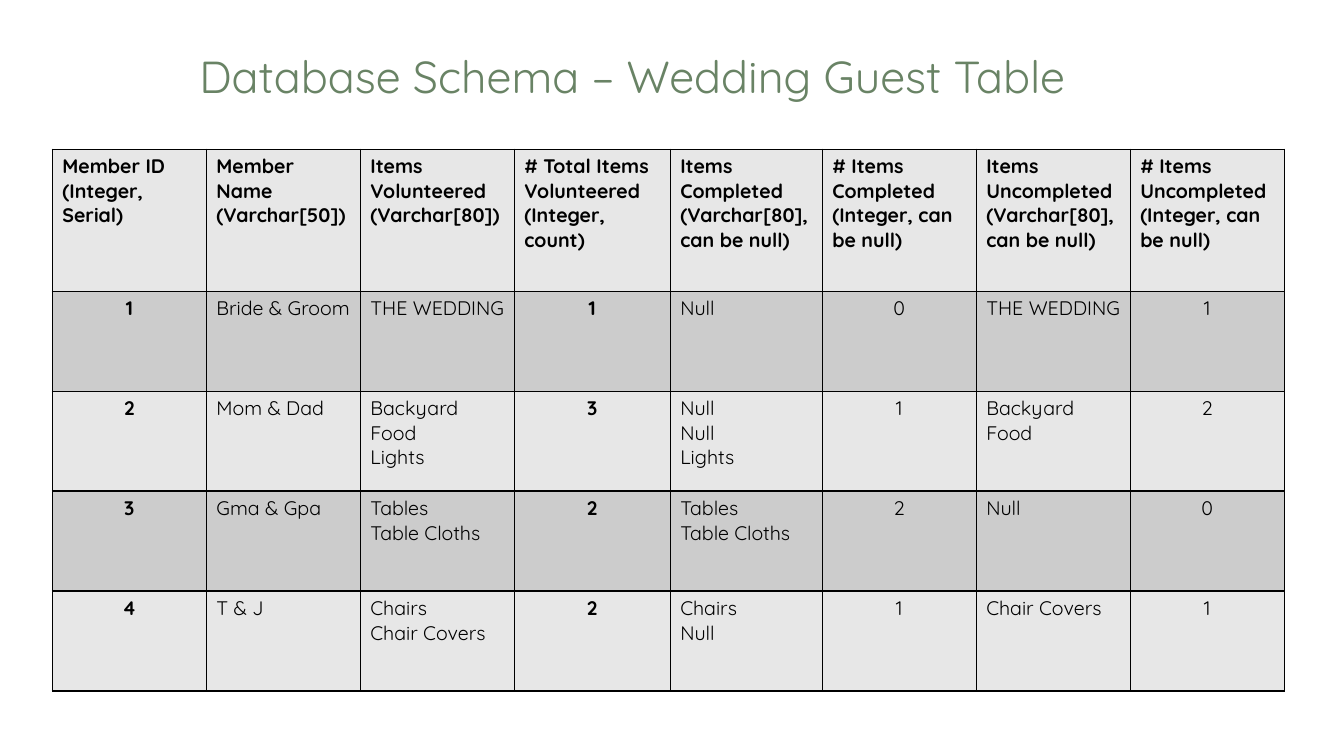
"""Build the wedding guest table schema slide."""
from pptx import Presentation
from pptx.dml.color import RGBColor as RGB
from pptx.enum.text import MSO_ANCHOR as ANCHOR, PP_ALIGN as ALIGN
from pptx.oxml.ns import qn
from pptx.util import Pt
from lxml.etree import SubElement as Sub

COLORS = {"title": "698365", "text": "000000", "border": "000000",
          "light": "E7E7E7", "dark": "CCCCCC"}
COL_WIDTHS = [110, 110, 110, 111.4, 108.6, 110, 110, 110]
ROW_HEIGHTS = [101.4] + [71.4] * 4
CENTERED = {0, 3, 5, 7}
BOLD = {0, 3}
HEADERS = [
    "Member ID\n(Integer, Serial)",
    "Member Name\n(Varchar[50])",
    "Items Volunteered\n(Varchar[80])",
    "# Total Items Volunteered\n(Integer, count)",
    "Items Completed\n(Varchar[80], can be null)",
    "# Items Completed\n(Integer, can be null)",
    "Items Uncompleted\n(Varchar[80], can be null)",
    "# Items Uncompleted\n(Integer, can be null)",
]
GUESTS = [
    ["1", "Bride & Groom", "THE WEDDING", "1", "Null", "0", "THE WEDDING", "1"],
    ["2", "Mom & Dad", "Backyard\nFood\nLights", "3", "Null\nNull\nLights",
     "1", "Backyard\nFood", "2"],
    ["3", "Gma & Gpa", "Tables\nTable Cloths", "2", "Tables\nTable Cloths",
     "2", "Null", "0"],
    ["4", "T & J", "Chairs\nChair Covers", "2", "Chairs\nNull",
     "1", "Chair Covers", "1"],
]


def write(tf, text, size=14, color="text", bold=False, align=ALIGN.LEFT, font="Quicksand"):
    tf.word_wrap = True
    for i, line in enumerate(text.split("\n")):
        p = tf.paragraphs[0] if i == 0 else tf.add_paragraph()
        p.alignment = align
        r = p.add_run()
        r.text = line
        r.font.name, r.font.size, r.font.bold = font, Pt(size), bold
        r.font.color.rgb = RGB.from_string(COLORS[color])


class SchemaSlide:
    def __init__(self, prs):
        self.s = prs.slides.add_slide(prs.slide_layouts[6])
        self.border_width = 1

    def title(self, text, x, y, w, h):
        sp = self.s.shapes.add_textbox(Pt(x), Pt(y), Pt(w), Pt(h))
        sp.text_frame.vertical_anchor = ANCHOR.MIDDLE
        write(sp.text_frame, text, size=32, color="title")

    def borders(self, cell):
        tcPr = cell._tc.get_or_add_tcPr()
        for side in ("a:lnL", "a:lnR", "a:lnT", "a:lnB"):
            ln = Sub(tcPr, qn(side), w=str(Pt(self.border_width)))
            fill = Sub(ln, qn("a:solidFill"))
            Sub(fill, qn("a:srgbClr"), val=COLORS["border"])

    def table(self, rows, x, y, widths, heights):
        sp = self.s.shapes.add_table(len(rows), len(widths), Pt(x), Pt(y),
                                     Pt(sum(widths)), Pt(sum(heights)))
        table = sp.table
        for col, width in zip(table.columns, widths):
            col.width = Pt(width)
        for i, (row, height) in enumerate(zip(rows, heights)):
            table.rows[i].height = Pt(height)
            for j, text in enumerate(row):
                cell = table.cell(i, j)
                self.borders(cell)
                cell.fill.solid()
                cell.fill.fore_color.rgb = RGB.from_string(COLORS["dark" if i % 2 else "light"])
                centered = i > 0 and j in CENTERED
                write(cell.text_frame, text, bold=i == 0 or j in BOLD,
                      align=ALIGN.CENTER if centered else ALIGN.LEFT)


def main():
    prs = Presentation()
    prs.slide_width, prs.slide_height = Pt(960), Pt(540)
    slide = SchemaSlide(prs)
    slide.title("Database Schema – Wedding Guest Table", 135.4, 26, 689.8, 55.4)
    slide.table([HEADERS] + GUESTS, 37.4, 106.6, COL_WIDTHS, ROW_HEIGHTS)
    prs.save("out.pptx")


if __name__ == "__main__":
    main()
